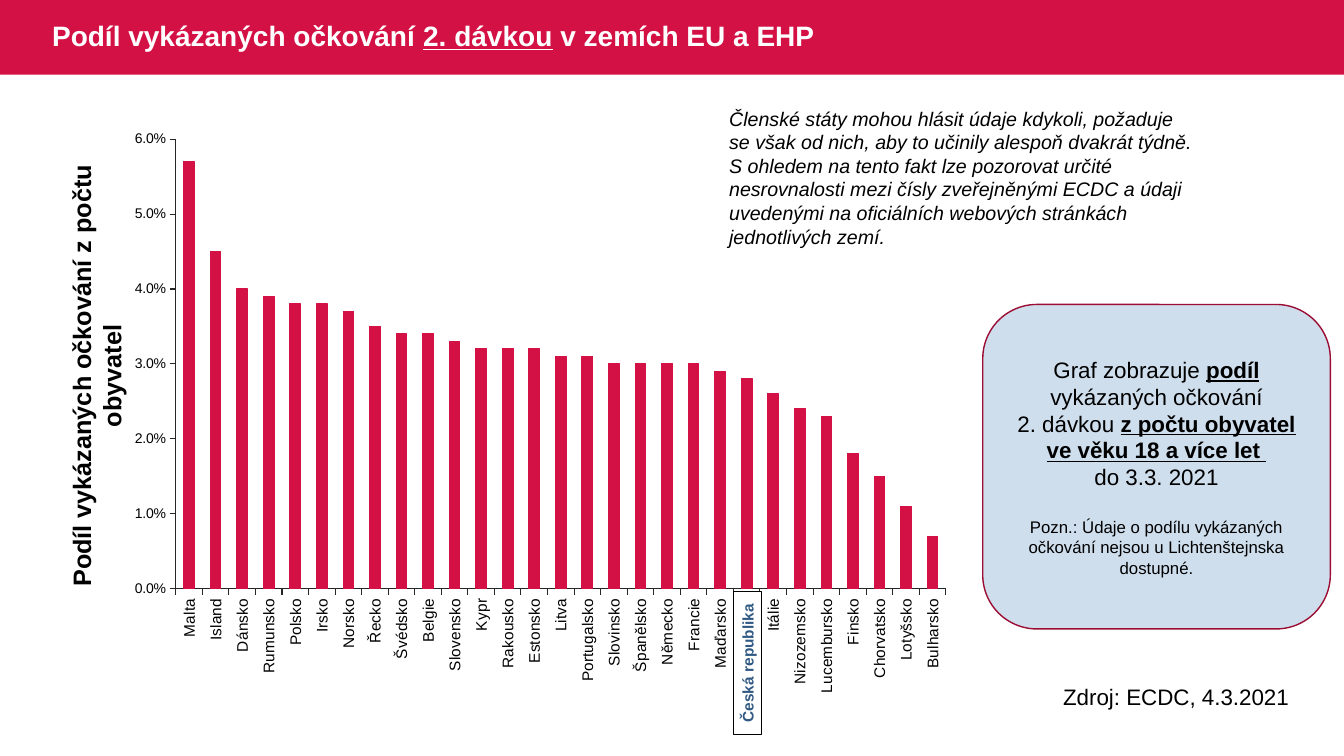
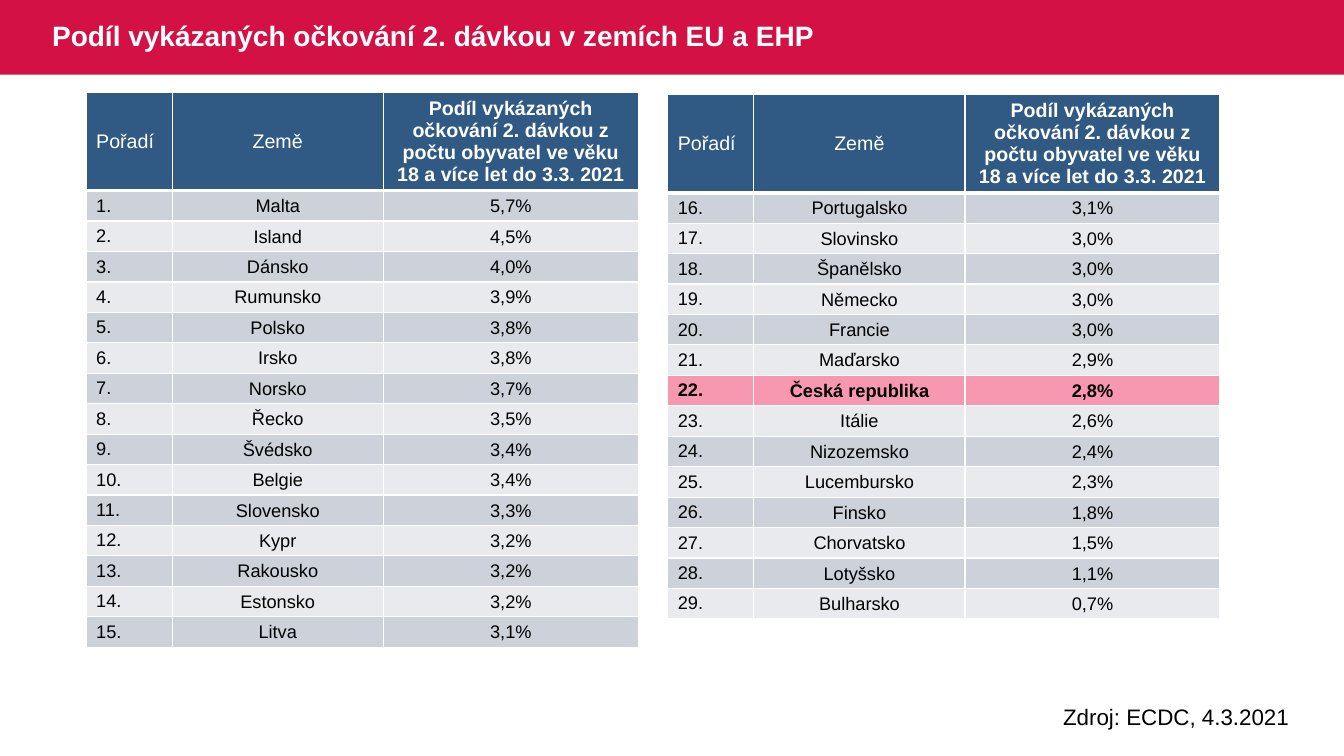
import pptx
import pptx.chart.data
import pptx.dml.color
import pptx.enum.chart
import pptx.enum.shapes
import pptx.enum.text
import pptx.oxml
import pptx.oxml.ns
import pptx.util
from lxml import etree

RGB = pptx.dml.color.RGBColor
RED = RGB(0xD3, 0x11, 0x45)
DARK_RED = RGB(0x9C, 0x0D, 0x33)
PINK = RGB(0xF7, 0x97, 0xB0)
BLUE = RGB(0x30, 0x59, 0x83)
PALE_BLUE = RGB(0xCF, 0xDE, 0xED)
GREY = RGB(0xCD, 0xD1, 0xD9)
LIGHT_GREY = RGB(0xE8, 0xEA, 0xED)
AXIS = RGB(0x26, 0x26, 0x26)
BLACK = RGB(0, 0, 0)
WHITE = RGB(0xFF, 0xFF, 0xFF)

FONT = "Arial"
PX = 9525
BAND_H = 71
ALIGN = pptx.enum.text.PP_ALIGN
MIDDLE = pptx.enum.text.MSO_ANCHOR.MIDDLE
SHAPE = pptx.enum.shapes.MSO_SHAPE

HOME = "Česká republika"
SHARES = [
    ("Malta", 5.7), ("Island", 4.5), ("Dánsko", 4.0), ("Rumunsko", 3.9),
    ("Polsko", 3.8), ("Irsko", 3.8), ("Norsko", 3.7), ("Řecko", 3.5),
    ("Švédsko", 3.4), ("Belgie", 3.4), ("Slovensko", 3.3), ("Kypr", 3.2),
    ("Rakousko", 3.2), ("Estonsko", 3.2), ("Litva", 3.1), ("Portugalsko", 3.1),
    ("Slovinsko", 3.0), ("Španělsko", 3.0), ("Německo", 3.0), ("Francie", 3.0),
    ("Maďarsko", 2.9), (HOME, 2.8), ("Itálie", 2.6), ("Nizozemsko", 2.4),
    ("Lucembursko", 2.3), ("Finsko", 1.8), ("Chorvatsko", 1.5),
    ("Lotyšsko", 1.1), ("Bulharsko", 0.7),
]
FIRST_TABLE_ROWS = 15
HEADERS = ["Pořadí", "Země",
           "Podíl vykázaných očkování 2. dávkou z počtu obyvatel ve věku 18 a více let do 3.3. 2021"]


def px(*lengths):
    return [n * PX for n in lengths]


def style_font(font, size, color, bold=False, italic=False, underline=False):
    font.name = FONT
    font.size = pptx.util.Pt(size)
    font.color.rgb = color
    font.bold = bold
    font.italic = italic
    font.underline = underline


def add_runs(p, runs, size, color=BLACK, align=ALIGN.LEFT, **style):
    p.alignment = align
    for text, extra in runs:
        r = p.add_run()
        r.text = text
        style_font(r.font, size, color, **{**style, **extra})


def add_text(s, box, text, size, align=ALIGN.LEFT, rotation=0, **style):
    sp = s.shapes.add_textbox(*px(*box))
    sp.rotation = rotation
    sp.text_frame.word_wrap = True
    add_runs(sp.text_frame.paragraphs[0], [(text, {})], size, align=align, **style)


def add_box(s, kind, box, fill, line=None, line_width=1):
    sp = s.shapes.add_shape(kind, *px(*box))
    sp.shadow.inherit = False
    sp.fill.solid()
    sp.fill.fore_color.rgb = fill
    if line is None:
        sp.line.fill.background()
    else:
        sp.line.color.rgb = line
        sp.line.width = pptx.util.Pt(line_width)
    sp.text_frame.word_wrap = True
    sp.text_frame.vertical_anchor = MIDDLE
    return sp


def add_slide(prs, layout, title_runs):
    s = prs.slides.add_slide(layout)
    tf = s.shapes.title.text_frame
    tf.auto_size = pptx.enum.text.MSO_AUTO_SIZE.NONE
    tf.vertical_anchor = MIDDLE
    p = tf.paragraphs[0]
    p.line_spacing = 0.9
    add_runs(p, title_runs, 20, WHITE, bold=True)
    return s


def move_band_to_master(prs, s):
    sp = add_box(s, SHAPE.RECTANGLE, (0, 0, 1280, BAND_H), RED)
    sp.element.nvSpPr.cNvPr.id = 20
    prs.slide_master.shapes.element.insert(2, sp.element)


def add_source(s, top):
    add_text(s, (1003, top, 265, 36), "Zdroj: ECDC, 4.3.2021", 16)


def style_axis(axis, size):
    axis.has_major_gridlines = False
    axis.major_tick_mark = pptx.enum.chart.XL_TICK_MARK.OUTSIDE
    axis.minor_tick_mark = pptx.enum.chart.XL_TICK_MARK.NONE
    axis.format.line.color.rgb = AXIS
    axis.format.line.width = pptx.util.Pt(0.75)
    style_font(axis.tick_labels.font, size, BLACK)


def set_plot_area(chart, x, y, w, h):
    area = chart.element.chart.plotArea
    for old in area.findall(pptx.oxml.ns.qn("c:layout")):
        area.remove(old)
    layout = etree.Element(pptx.oxml.ns.qn("c:layout"))
    manual = etree.SubElement(layout, pptx.oxml.ns.qn("c:manualLayout"))
    values = [("layoutTarget", "inner"), ("xMode", "edge"), ("yMode", "edge"),
              ("x", x), ("y", y), ("w", w), ("h", h)]
    for tag, value in values:
        etree.SubElement(manual, pptx.oxml.ns.qn("c:" + tag)).set("val", str(value))
    area.insert(0, layout)


def add_share_chart(s, box):
    data = pptx.chart.data.CategoryChartData(number_format="0.0%")
    data.categories = [country for country, share in SHARES]
    data.add_series("Series 1", [round(share / 100, 3) for country, share in SHARES])
    kind = pptx.enum.chart.XL_CHART_TYPE.COLUMN_CLUSTERED
    chart = s.shapes.add_chart(kind, *px(*box), data).chart
    chart.has_legend = False
    chart.has_title = False
    style_font(chart.font, 10, BLACK)
    plot = chart.plots[0]
    plot.gap_width = 150
    plot.vary_by_categories = False
    fmt = plot.series[0].format
    fmt.fill.solid()
    fmt.fill.fore_color.rgb = RED
    fmt.line.color.rgb = RED
    fmt.line.width = pptx.util.Pt(0.75)
    style_axis(chart.category_axis, 11)
    body = chart.category_axis.format.line and chart.category_axis.tick_labels.font
    style_axis(chart.value_axis, 10)
    chart.value_axis.minimum_scale = 0
    chart.value_axis.maximum_scale = 0.06
    chart.value_axis.major_unit = 0.01
    chart.value_axis.tick_labels.number_format = "0.0%"
    chart.value_axis.tick_labels.number_format_is_linked = False
    body = chart.element.find(".//" + pptx.oxml.ns.qn("c:catAx")).txPr.bodyPr
    body.set("rot", "-5400000")
    body.set("vert", "horz")
    set_plot_area(chart, 0.07, 0.05, 0.91, 0.75)


def add_callout(s):
    sp = add_box(s, SHAPE.ROUNDED_RECTANGLE, (936, 290, 331, 309), PALE_BLUE, DARK_RED)
    key = {"bold": True, "underline": True}
    paragraphs = [
        (16, 0, [("Graf zobrazuje ", {}), ("podíl", key),
                 (" vykázaných očkování 2.\u00a0dávkou ", {}),
                 ("z počtu obyvatel ve věku 18 a více let ", key)]),
        (16, 0, [("do 3.3. 2021", {})]),
        (12, 19, [("Pozn.: Údaje o podílu vykázaných očkování nejsou u Lichtenštejnska dostupné.", {})]),
    ]
    tf = sp.text_frame
    for i, (size, gap, runs) in enumerate(paragraphs):
        p = tf.add_paragraph() if i else tf.paragraphs[0]
        if gap:
            p.space_before = pptx.util.Pt(gap)
        add_runs(p, runs, size, align=ALIGN.CENTER)


def set_borders(cell, bottom):
    pr = cell._tc.get_or_add_tcPr()
    for i, (tag, width) in enumerate([("lnL", 1), ("lnR", 1), ("lnT", 1), ("lnB", bottom)]):
        ln = etree.Element(pptx.oxml.ns.qn("a:" + tag), w=str(width * 12700))
        fill = etree.SubElement(ln, pptx.oxml.ns.qn("a:solidFill"))
        etree.SubElement(fill, pptx.oxml.ns.qn("a:srgbClr"), val=str(WHITE))
        pr.insert(i, ln)


def fill_cell(cell, text, size, color, fill, align, bold, bottom=1):
    cell.fill.solid()
    cell.fill.fore_color.rgb = fill
    cell.vertical_anchor = MIDDLE
    add_runs(cell.text_frame.paragraphs[0], [(text, {})], size, color, align, bold=bold)
    set_borders(cell, bottom)


def add_share_table(s, left, top, first, rows):
    widths = (82, 201, 243)
    header_h, row_h = 92, 29
    box = (left, top, sum(widths), header_h + row_h * len(rows))
    table = s.shapes.add_table(len(rows) + 1, len(widths), *px(*box)).table
    for column, width in zip(table.columns, px(*widths)):
        column.width = width
    for i, row in enumerate(table.rows):
        row.height = (row_h if i else header_h) * PX
    aligns = (ALIGN.LEFT, ALIGN.CENTER, ALIGN.CENTER)
    for c, text in enumerate(HEADERS):
        fill_cell(table.cell(0, c), text, 14, WHITE, BLUE, aligns[c], c == 2, 3)
    for i, (country, share) in enumerate(rows):
        home = country == HOME
        fill = PINK if home else (GREY, LIGHT_GREY)[i % 2]
        texts = (f"{first + i}.", country, f"{share:.1f}%".replace(".", ","))
        for c, text in enumerate(texts):
            cell = table.cell(i + 1, c)
            if c:
                cell.margin_left = cell.margin_right = cell.margin_top = PX
                cell.margin_bottom = 0
            fill_cell(cell, text, 13, BLACK, fill, aligns[c], home)


def build_chart_slide(prs, layout):
    s = add_slide(prs, layout, [("Podíl vykázaných očkování ", {}),
                                ("2. dávkou", {"underline": True}),
                                (" v zemích EU a EHP", {})])
    move_band_to_master(prs, s)
    add_text(s, (-149, 324, 482, 68), "Podíl vykázaných očkování z počtu obyvatel",
             18, ALIGN.CENTER, 270, bold=True)
    add_share_chart(s, (111, 104, 806, 571))
    add_callout(s)
    sp = add_box(s, SHAPE.RECTANGLE, (644, 618, 136, 27), WHITE, BLACK)
    sp.rotation = 270
    add_runs(sp.text_frame.paragraphs[0], [(HOME, {})], 11, BLUE, ALIGN.CENTER, bold=True)
    add_source(s, 646)
    add_text(s, (685, 97, 467, 145),
             "Členské státy mohou hlásit údaje kdykoli, požaduje se však od nich, aby to "
             "učinily alespoň dvakrát týdně. S ohledem na tento fakt lze pozorovat určité "
             "nesrovnalosti mezi čísly zveřejněnými ECDC a údaji uvedenými na oficiálních "
             "webových stránkách jednotlivých zemí.", 14, italic=True)


def build_table_slide(prs, layout):
    s = add_slide(prs, layout, [("Podíl vykázaných očkování 2. dávkou v zemích EU a EHP", {})])
    add_share_table(s, 82, 88, 1, SHARES[:FIRST_TABLE_ROWS])
    add_share_table(s, 636, 90, FIRST_TABLE_ROWS + 1, SHARES[FIRST_TABLE_ROWS:])
    add_source(s, 665)


def main():
    prs = pptx.Presentation()
    prs.slide_width, prs.slide_height = px(1280, 720)
    layout = prs.slide_layouts.get_by_name("Title Only")
    title = layout.placeholders[0]
    title.left, title.top, title.width, title.height = px(40, 0, 783, BAND_H)
    build_chart_slide(prs, layout)
    build_table_slide(prs, layout)
    prs.save("out.pptx")


if __name__ == "__main__":
    main()
